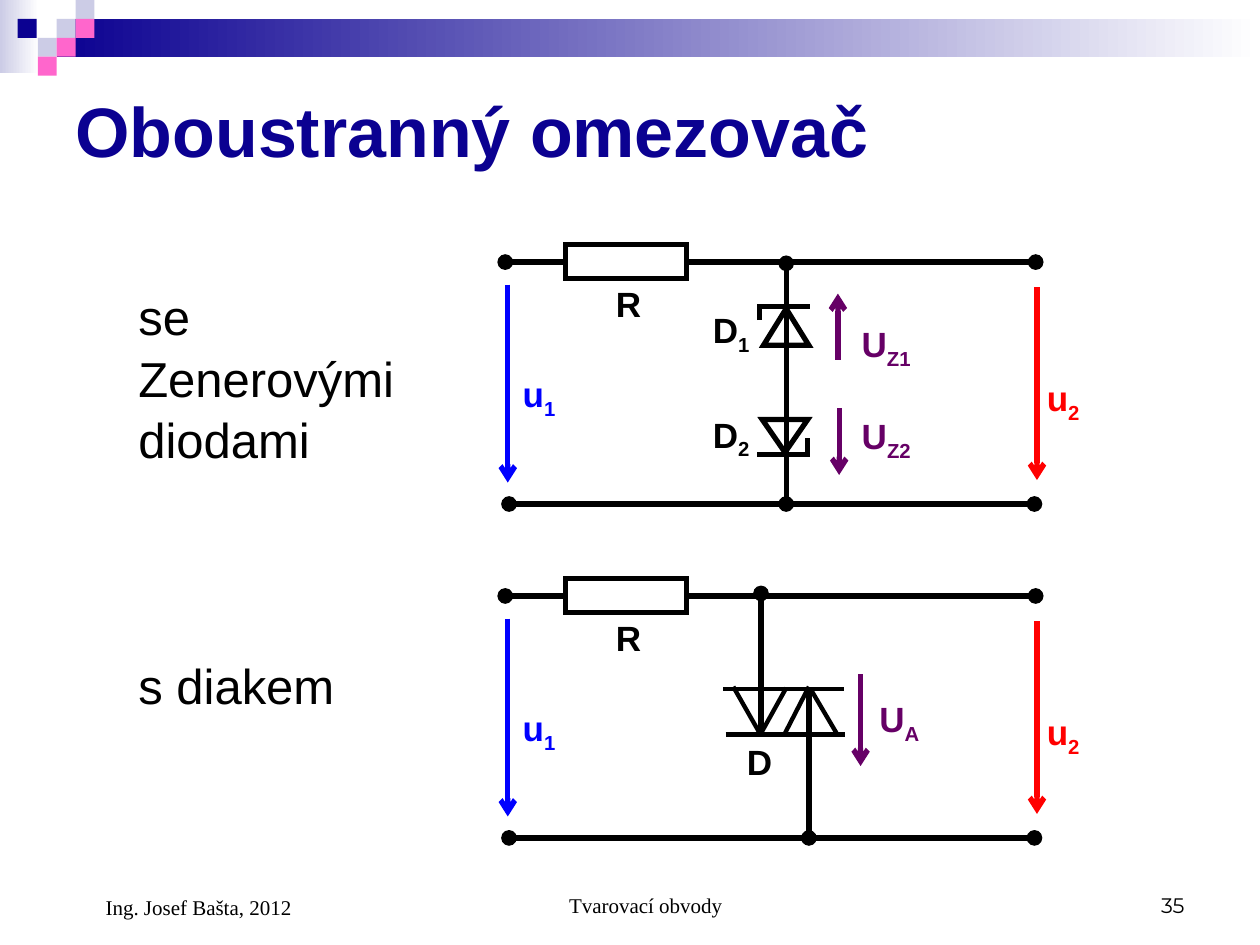
from pptx import Presentation
from pptx.dml.color import RGBColor
from pptx.enum.shapes import MSO_CONNECTOR, MSO_SHAPE
from pptx.enum.text import MSO_ANCHOR, MSO_AUTO_SIZE, PP_ALIGN
from pptx.oxml.ns import qn
from pptx.util import Pt
from lxml.etree import SubElement

PX = 9144  # EMU per px, 100 px to the inch

NAVY = RGBColor(0x0B, 0x01, 0x91)
LILAC = RGBColor(0xCC, 0xCC, 0xE6)
PINK = RGBColor(0xFF, 0x66, 0xCC)
WHITE = RGBColor(0xFF, 0xFF, 0xFF)
BLACK = RGBColor(0, 0, 0)
BLUE = RGBColor(0, 0, 0xFF)
RED = RGBColor(0xFF, 0, 0)
PURPLE = RGBColor(0x66, 0, 0x66)

TITLE = "Oboustranný omezovač"
BANDS = [((0, 0, 31, 58), LILAC), ((45, 15, 955, 30), NAVY)]
SQUARE = 15
SQUARES = [(45, 15, LILAC), (60, 0, LILAC), (60, 15, PINK), (30, 30, LILAC),
           (14, 15, NAVY), (45, 30, PINK), (30, 45, PINK)]
CAPTIONS = [("se Zenerovými diodami", (100, 220, 232, 150)),
            ("s diakem", (100, 513, 232, 57))]
FOOTERS = [
    ("Tvarovací obvody", (342, 683, 317, 50), "Times New Roman", PP_ALIGN.CENTER, 24),
    ("35", (717, 683, 233, 50), "Montserrat", PP_ALIGN.RIGHT, 0),
    ("Ing. Josef Bašta, 2012", (50, 683, 233, 52), "Times New Roman", PP_ALIGN.LEFT, 24),
]

# Circuit parts: y is measured from the top wire.
# Line: start, end, colour, width in pt, start mark, end mark
# Label: text, subscript, left, top, width, colour
COMMON = {
    "outlines": [(MSO_SHAPE.RECTANGLE, (449, -14, 96, 27), 0)],
    "lines": [
        ((821, 192), (404, 192), BLACK, 3, "oval", "oval"),
        ((403, 18), (403, 175), BLUE, 3, None, "arrow"),
        ((448, 0), (401, 0), BLACK, 3, None, "oval"),
        ((823, 20), (823, 173), RED, 3, None, "arrow"),
        ((822, 0), (545, 0), BLACK, 3, "oval", None),
    ],
    "labels": [("u", "1", 405, 81, 54, BLUE), ("R", "", 479, 10, 46, BLACK),
               ("u", "2", 821, 84, 56, RED)],
}
ZENER = {
    "outlines": [(MSO_SHAPE.ISOSCELES_TRIANGLE, (605, 125, 36, 26), 180),
                 (MSO_SHAPE.ISOSCELES_TRIANGLE, (606, 37, 36, 29), 0)],
    "lines": [
        ((624, 192), (624, 1), BLACK, 3, "oval", "oval"),
        ((601, 153), (643, 153), BLACK, 3, None, None),
        ((641, 152), (641, 140), BLACK, 3, None, None),
        ((601, 35), (643, 35), BLACK, 3, None, None),
        ((603, 46), (603, 34), BLACK, 3, None, None),
        ((666, 116), (666, 169), PURPLE, 3, None, "arrow"),
        ((665, 25), (665, 78), PURPLE, 3, "arrow", None),
    ],
    "labels": [("D", "1", 556, 30, 53, BLACK), ("D", "2", 556, 113, 56, BLACK),
               ("U", "Z1", 674, 41, 64, PURPLE), ("U", "Z2", 674, 114, 65, PURPLE)],
}
DIAC = {
    "outlines": [],
    "lines": [
        ((642, 192), (642, 73), BLACK, 3, "oval", None),
        ((604, 108), (604, -2), BLACK, 3, None, "oval"),
        ((576, 110), (671, 110), BLACK, 2.5, None, None),
        ((574, 74), (670, 74), BLACK, 2.5, None, None),
        ((582, 72), (603, 109), BLACK, 2.5, None, None),
        ((624, 73), (604, 109), BLACK, 2.5, None, None),
        ((642, 72), (623, 109), BLACK, 2.5, None, None),
        ((644, 75), (664, 109), BLACK, 2.5, None, None),
        ((683, 62), (683, 135), PURPLE, 3, None, "arrow"),
    ],
    "labels": [("D", "", 583, 108, 53, BLACK), ("U", "A", 688, 74, 65, PURPLE)],
}
CIRCUITS = [(208, ZENER), (473, DIAC)]


def emu(*lengths):
    return [n * PX for n in lengths]


def add_run(p, text, color, **font):
    r = p.add_run()
    r.text = text
    r.font.color.rgb = color
    for name, value in {"name": "Arial", **font}.items():
        setattr(r.font, name, value)
    return r


def add_box(shapes, box, anchor=MSO_ANCHOR.TOP, spacing=1.05):
    """Add a wrapping text box and return its first paragraph."""
    tf = shapes.add_textbox(*emu(*box)).text_frame
    tf.word_wrap = True
    tf.vertical_anchor = anchor
    p = tf.paragraphs[0]
    p.line_spacing = spacing
    return p


def add_block(shapes, box, color, fade=False):
    sp = shapes.add_shape(MSO_SHAPE.RECTANGLE, *emu(*box))
    sp.shadow.inherit = False
    sp.line.fill.background()
    if fade:
        sp.fill.gradient()
        sp.fill.gradient_angle = 0
        for stop, c in zip(sp.fill.gradient_stops, (color, WHITE)):
            stop.color.rgb = c
    else:
        sp.fill.solid()
        sp.fill.fore_color.rgb = color


def add_outline(shapes, kind, box, rotation):
    sp = shapes.add_shape(kind, *emu(*box))
    sp.shadow.inherit = False
    sp.rotation = rotation
    sp.fill.background()
    sp.line.color.rgb = BLACK
    sp.line.width = Pt(3)
    SubElement(sp.line._get_or_add_ln(), qn("a:miter"), lim="800000")


def add_line(shapes, start, end, color, width, head, tail):
    c = shapes.add_connector(MSO_CONNECTOR.STRAIGHT, *emu(*start, *end))
    c.line.color.rgb = color
    c.line.width = Pt(width)
    for tag, mark in (("a:headEnd", head), ("a:tailEnd", tail)):
        if mark:
            SubElement(c.line._get_or_add_ln(), qn(tag), type=mark)
    SubElement(c._element.spPr, qn("a:effectLst"))


def add_circuit(slide, top, parts):
    shapes = slide.shapes.add_group_shape().shapes
    for group in (COMMON, parts):
        for kind, (x, y, w, h), rotation in group["outlines"]:
            add_outline(shapes, kind, (x, top + y, w, h), rotation)
        for (x1, y1), (x2, y2), *style in group["lines"]:
            add_line(shapes, (x1, top + y1), (x2, top + y2), *style)
        for text, sub, x, y, w, color in group["labels"]:
            p = add_box(shapes, (x, top + y, w, 48 if sub else 44))
            font = {"size": Pt(20), "bold": True}
            add_run(p, text, color, **font)
            if sub:
                r = add_run(p, sub, color, **font)
                r.font._element.set("baseline", "-25000")


def add_title(slide):
    sp = slide.shapes.title
    sp.left, sp.top, sp.width, sp.height = emu(50, 50, 900, 103)
    tf = sp.text_frame
    tf.auto_size = MSO_AUTO_SIZE.NONE
    tf.vertical_anchor = MSO_ANCHOR.MIDDLE
    p = tf.paragraphs[0]
    p.alignment = PP_ALIGN.LEFT
    p.line_spacing = 1.05
    add_run(p, TITLE, NAVY, size=Pt(40), bold=True)


def main():
    prs = Presentation()
    prs.slide_width, prs.slide_height = emu(1000, 750)
    s = prs.slides.add_slide(prs.slide_layouts[5])
    for box, color in BANDS:
        add_block(s.shapes, box, color, fade=True)
    for x, y, color in SQUARES:
        add_block(s.shapes, (x, y, SQUARE, SQUARE), color)
    add_title(s)
    for top, parts in CIRCUITS:
        add_circuit(s, top, parts)
    for text, box in CAPTIONS:
        add_run(add_box(s.shapes, box), text, BLACK, size=Pt(28))
    for text, box, font, align, indent in FOOTERS:
        p = add_box(s.shapes, box, MSO_ANCHOR.BOTTOM, 1.0)
        p.alignment = align
        p._p.get_or_add_pPr().set("marL", str(indent * PX))
        add_run(p, text, BLACK, name=font, size=Pt(12))
    prs.save("out.pptx")


if __name__ == "__main__":
    main()
